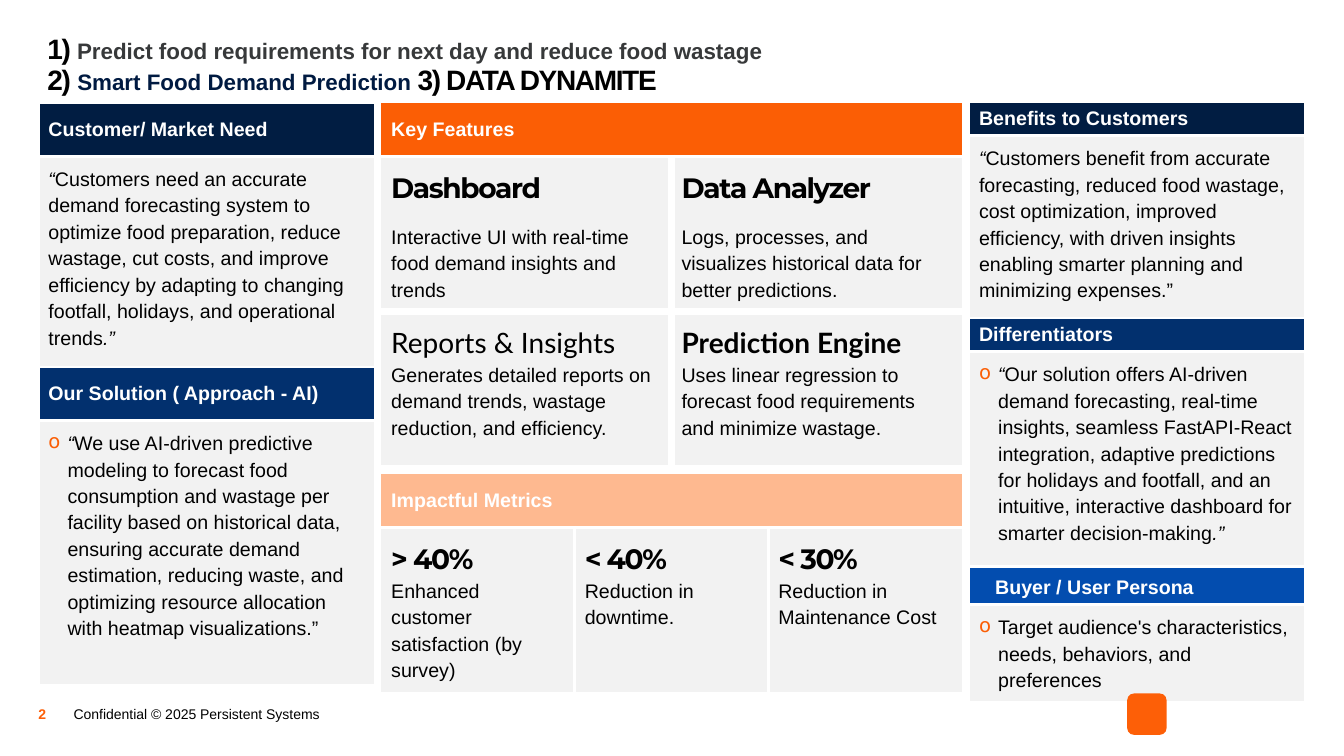
from lxml import etree
from pptx import Presentation
from pptx.dml.color import RGBColor
from pptx.enum.shapes import MSO_SHAPE
from pptx.enum.text import MSO_ANCHOR
from pptx.oxml.ns import qn
from pptx.util import Inches, Pt

TOP, MIDDLE = MSO_ANCHOR.TOP, MSO_ANCHOR.MIDDLE
ROUNDED = MSO_SHAPE.ROUNDED_RECTANGLE

# Grid of tenths of an inch
COLUMNS, ROWS = 133.3, 75

WHITE, BLACK, ORANGE = "FFFFFF", "000000", "FD5F07"
NAVY, BLUE, ROYAL = "011D42", "02306E", "034DAF"
FEATURE, METRIC, PANEL, BULLET = "FB5E05", "FEB990", "F2F2F2", "FB5E05"
RULE, GUTTER = 2.25, 6

BODY = {"name": "Arial", "size": Pt(14), "bold": False, "color": BLACK}
QUOTE = {**BODY, "italic": True}
HEADING = {**BODY, "bold": True, "color": WHITE}
DISPLAY = {**BODY, "name": "Montserrat", "size": Pt(20), "bold": True, "spc": -100}
LABEL = {**BODY, "name": "Lato", "size": Pt(20)}
LABEL_BOLD = {**LABEL, "bold": True}
NUMBER = {**DISPLAY, "name": "Arial"}
PROBLEM = {**BODY, "size": Pt(16), "bold": True, "color": "37393A"}
PRODUCT = {**PROBLEM, "color": "001A41"}
FOOTER = {**BODY, "size": Pt(10)}
PAGE = {**FOOTER, "bold": True, "color": ORANGE}
BREAK = ("\n", BODY)


def rgb(hex_color):
    return RGBColor.from_string(hex_color)


def paragraph(*runs, **layout):
    return {"runs": runs, "layout": layout}


def heading(text, fill, **layout):
    return {"fill": fill, "anchor": MIDDLE, "top": 0.05,
            "paragraphs": [paragraph((text, HEADING), **layout)]}


def panel(*paragraphs, right=0.1):
    return {"fill": PANEL, "anchor": TOP, "top": 0.08, "right": right,
            "paragraphs": paragraphs}


def quote(*runs, bullet=False):
    return paragraph(*runs, line_spacing=1.2, bullet=bullet)


def feature(title, text, space_before=0):
    return panel(paragraph((title, DISPLAY), line_spacing=1.2),
                 paragraph((text, BODY), line_spacing=1.2, space_before=Pt(space_before)))


def labelled(title, style, text):
    return panel(paragraph((title, style), BREAK, (text, BODY), line_spacing=1.2))


class Board:
    """Holds the slide and its grid, and draws each kind of element."""

    def __init__(self, deck):
        self.column = deck.slide_width / COLUMNS
        self.row = deck.slide_height / ROWS
        self.slide = deck.slides.add_slide(deck.slide_layouts[6])

    def place(self, x, y, width, height):
        return [round(n * unit) for n, unit in
                zip((x, y, width, height), (self.column, self.row) * 2)]

    def fill_text(self, frame, paragraphs):
        for index, content in enumerate(paragraphs):
            target = frame.add_paragraph() if index else frame.paragraphs[0]
            layout = dict(content["layout"])
            properties = target._p.get_or_add_pPr()
            indent = layout.pop("indent", 0)
            if layout.pop("bullet", False):
                indent = 0.19
                properties.set("indent", str(-Inches(indent)))
                color = etree.SubElement(properties, qn("a:buClr"))
                etree.SubElement(color, qn("a:srgbClr"), val=BULLET)
                etree.SubElement(properties, qn("a:buChar"), char="o")
            if indent:
                properties.set("marL", str(Inches(indent)))
            for name, value in layout.items():
                setattr(target, name, value)
            for text, style in content["runs"]:
                if text == "\n":
                    target.add_line_break()
                else:
                    self.style_run(target.add_run(), text, style)

    def style_run(self, run, text, style):
        run.text = text
        for name, value in style.items():
            if name == "color":
                run.font.color.rgb = rgb(value)
            elif name == "spc":
                run._r.get_or_add_rPr().set("spc", str(value))
            else:
                setattr(run.font, name, value)

    def text(self, place, content, anchor=MIDDLE, wrap=True, left=0, top=0.05):
        frame = self.slide.shapes.add_textbox(*self.place(*place)).text_frame
        options = {"word_wrap": wrap, "vertical_anchor": anchor,
                   "margin_left": Inches(left), "margin_top": Inches(top),
                   "margin_right": 0, "margin_bottom": Inches(0.05)}
        for name, value in options.items():
            setattr(frame, name, value)
        self.fill_text(frame, [content])

    def block(self, place, fill):
        shape = self.slide.shapes.add_shape(ROUNDED, *self.place(*place))
        shape.shadow.inherit = False
        shape.fill.solid()
        shape.fill.fore_color.rgb = rgb(fill)
        shape.line.fill.background()

    def border(self, cell, widths):
        properties = cell._tc.get_or_add_tcPr()
        for side, width in widths.items():
            line = etree.SubElement(properties, qn(f"a:ln{side}"), w=str(Pt(width)))
            if width:
                fill = etree.SubElement(line, qn("a:solidFill"))
                etree.SubElement(fill, qn("a:srgbClr"), val=WHITE)
            else:
                etree.SubElement(line, qn("a:noFill"))

    def table(self, x, y, width, heights, cells, gap=RULE, outer=0):
        """Cells are rows of panels; a single heading spans its whole row."""
        count = len(cells[-1])
        place = self.place(x, y, width, sum(heights))
        grid = self.slide.shapes.add_table(len(cells), count, *place).table
        grid.first_row = grid.horz_banding = False
        for r, (height, contents) in enumerate(zip(heights, cells)):
            grid.rows[r].height = round(height * self.row)
            spans = len(contents) < count
            if spans:
                grid.cell(r, 0).merge(grid.cell(r, count - 1))
            for c in range(count):
                cell = grid.cell(r, c)
                content = contents[0 if spans else c]
                above = [outer, RULE][r] if r < 2 else gap
                below = RULE if r in (0, len(cells) - 1) else gap
                self.border(cell, {
                    "L": gap if c and not spans else outer,
                    "R": gap if c < count - 1 and not spans else outer,
                    "T": above, "B": below})
                cell.fill.solid()
                cell.fill.fore_color.rgb = rgb(content["fill"])
                options = {"vertical_anchor": content["anchor"],
                           "margin_left": Inches(0.1),
                           "margin_right": Inches(content.get("right", 0.1)),
                           "margin_top": Inches(content["top"]),
                           "margin_bottom": Inches(0.05)}
                for name, value in options.items():
                    setattr(cell, name, value)
                if not cell.is_spanned:
                    self.fill_text(cell.text_frame, content["paragraphs"])


def main():
    deck = Presentation()
    deck.slide_width, deck.slide_height = Inches(13.33), Inches(7.5)
    board = Board(deck)

    board.text((3.8, 2.4, 125.7, 7.1), paragraph(
        ("1)", NUMBER), (" Predict food requirements for next day and reduce food wastage", PROBLEM),
        BREAK, ("2) ", NUMBER), ("Smart Food Demand Prediction ", PRODUCT),
        ("3) DATA DYNAMITE", NUMBER), line_spacing=0.93), TOP, left=0.09, top=0.1)

    board.table(3.8, 10.2, 33.4, [5.3, 20.4, 5.3, 26.3], [
        [heading("Customer/ Market Need", NAVY)],
        [panel(quote(("“", QUOTE), ("Customers need an accurate demand forecasting system to optimize food preparation, reduce wastage, cut costs, and improve efficiency by adapting to changing footfall, holidays, and operational trends", BODY), (".”", QUOTE)))],
        [heading("Our Solution ( Approach - AI)", BLUE)],
        [panel(quote(("“", QUOTE), ("We use AI-driven predictive modeling to forecast food consumption and wastage per facility based on historical data, ensuring accurate demand estimation, reducing waste, and optimizing resource allocation with heatmap visualizations.”", BODY), bullet=True))],
    ], outer=RULE)

    board.table(96.1, 10.1, 33.4, [3.3, 17.4, 3.3, 21.3, 3.7, 9.3], [
        [heading("Benefits to Customers", NAVY)],
        [panel(quote(("“", QUOTE), ("Customers benefit from accurate forecasting, reduced food wastage, cost optimization, improved efficiency, with driven insights enabling smarter planning and minimizing expenses.”", BODY)), right=0)],
        [heading("Differentiators", BLUE)],
        [panel(quote(("“", QUOTE), ("Our solution offers AI-driven demand forecasting, real-time insights, seamless FastAPI-React integration, adaptive predictions for holidays and footfall, and an intuitive, interactive dashboard for smarter decision-making", BODY), (".”", QUOTE), bullet=True))],
        [heading("Buyer / User Persona", ROYAL, indent=0.16, line_spacing=1.2)],
        [panel(quote(("Target audience's characteristics, needs, behaviors, and preferences", BODY), bullet=True))],
    ], outer=RULE)

    board.table(37.8, 10.2, 57.6, [5.3, 15.4, 15.4], [
        [heading("Key Features", FEATURE)],
        [feature("Dashboard", "Interactive UI with real-time food demand insights and trends", 12),
         feature("Data Analyzer", "Logs, processes, and visualizes historical data for better predictions.", 12)],
        [labelled("Reports & Insights", LABEL, "Generates detailed reports on demand trends, wastage reduction, and efficiency."),
         labelled("Prediction Engine", LABEL_BOLD, "Uses linear regression to forecast food requirements and minimize wastage.")],
    ], gap=GUTTER)

    board.table(37.8, 47, 57.6, [5.3, 16], [
        [heading("Impactful Metrics", METRIC)],
        [feature("> 40%", "Enhanced customer satisfaction (by survey)"),
         feature("< 40%", "Reduction in downtime."),
         feature("< 30%", "Reduction in Maintenance Cost")],
    ])

    board.text((3.8, 68.8, 3.5, 4), paragraph(("2", PAGE)))
    board.text((7.3, 67.8, 26.3, 6), paragraph(("Confidential © 2025 Persistent Systems", FOOTER)),
               wrap=False)
    board.block((111.8, 68.8, 3.9, 4.1), ORANGE)
    deck.save("out.pptx")


if __name__ == "__main__":
    main()
